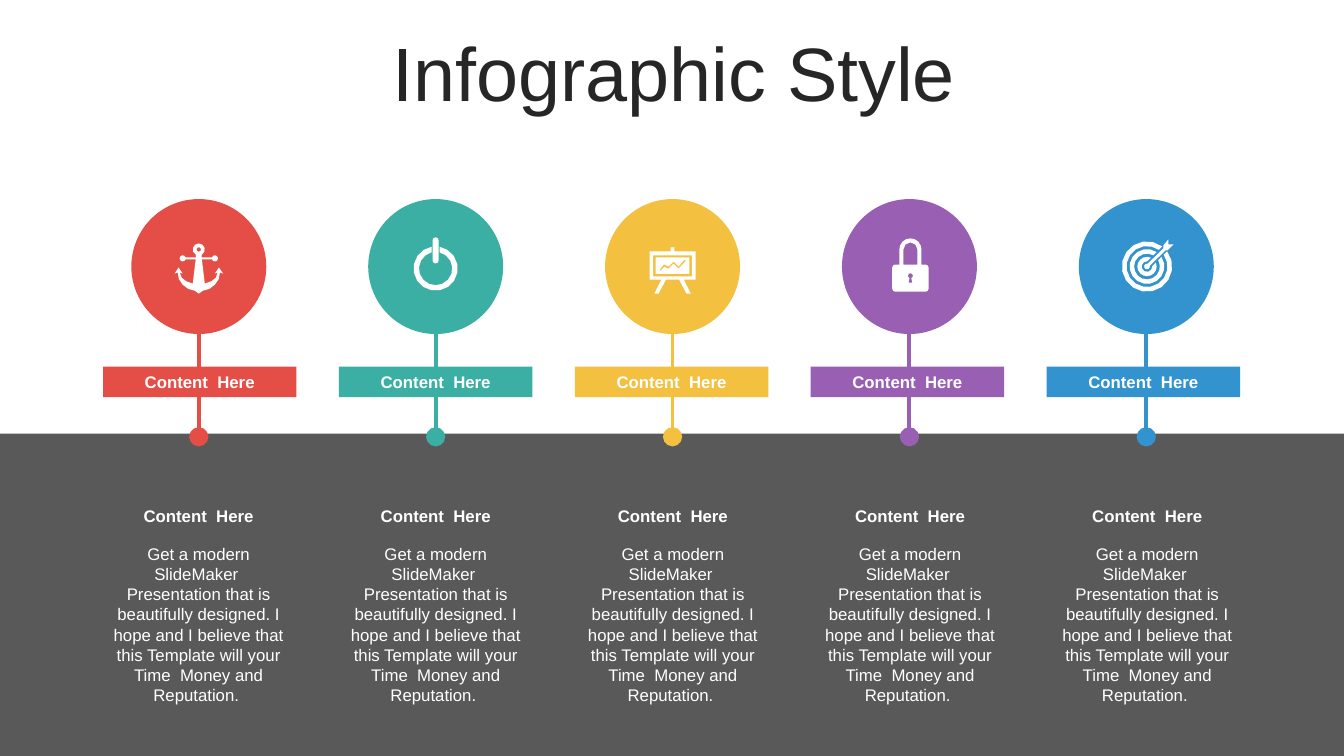
from math import asin, ceil, cos, degrees, radians, sin

from lxml.etree import SubElement
from pptx import Presentation
from pptx.dml.color import RGBColor
from pptx.enum.shapes import MSO_CONNECTOR, MSO_SHAPE
from pptx.enum.text import MSO_ANCHOR as Anchor, MSO_AUTO_SIZE as AutoSize, PP_ALIGN as Align
from pptx.oxml.ns import qn
from pptx.util import Pt

COLORS = {
    "red": "E54E46", "teal": "3CAFA4", "yellow": "F3C040", "purple": "995FB2",
    "blue": "3293CF", "gray": "595959", "white": "FFFFFF", "title": "262626",
}
COLORS = {name: RGBColor.from_string(value) for name, value in COLORS.items()}
LABEL = "Content  Here"
BODY = ("Get a modern SlideMaker  Presentation that is beautifully designed. "
        "I hope and I believe that this Template will your Time  Money and Reputation. ")


def arc(x, y, radius, start, end):
    """Points along an arc, clockwise from the right, in degrees."""
    steps = ceil(abs(end - start) / (24 if radius > 6 else 45))
    angles = [radians(start + (end - start) * i / steps) for i in range(steps + 1)]
    return [(x + radius * cos(a), y + radius * sin(a)) for a in angles]


def open_ring(x, y, outer, inner, direction, half_gap):
    """Outline of a ring with a parallel-sided gap facing the direction."""
    outer_gap = degrees(asin(half_gap / outer))
    inner_gap = degrees(asin(half_gap / inner))
    return (arc(x, y, outer, direction + outer_gap, direction + 360 - outer_gap)
            + arc(x, y, inner, direction + 360 - inner_gap, direction + inner_gap))


# Icon contours, in points from the centre of the circle
anchor_half = [
    *arc(0, -12.2, 4.3, -90, 60), (2, -6.5), (9.4, -6.5),
    *arc(11.5, -5.8, 2.2, 200, 520), (2.2, -5), (4.3, 12.2),
    (9, 10.5), (12.2, 8), (13.5, 4.3), (11.5, 5), (14.4, 0.7), (17.3, 5),
    (15.1, 4.3), (14.2, 9), (11.5, 13), (7.5, 16), (2.9, 17.3), (0, 19.4),
]
anchor = [anchor_half + [(-x, y) for x, y in reversed(anchor_half[1:-1])],
          arc(0, -12.2, 1.6, 0, 315)]

power = [open_ring(0, 1.4, 15.8, 11.9, -90, 2.9),
         arc(0, -18.7, 2.2, 180, 360) + arc(0, -4.4, 2.2, 0, 180)]

easel_half = [(1.4, -13.7), (1.4, -10.8), (16.4, -10.8), (16.4, 9.4),
              (8, 9.4), (13, 19.4), (10, 19.4), (4.7, 9.4)]
easel = [
    easel_half + [(-x, y) for x, y in reversed(easel_half)],
    [(-13.9, -8), (13.9, -8), (13.9, 7), (-13.9, 7)],
    [(-12, -6.5), (12, -6.5), (12, 5.2), (-12, 5.2)],
    [(8.6, -5), (4.3, 0), (0.7, -3.6), (-2.9, 0), (-6.1, -1.6), (-9.4, 2.5),
     (-8.7, 3), (-5.8, 0.2), (-2.9, 1.6), (0.7, -2), (4.3, 1.5), (9.4, -4)],
]

lock = [
    arc(0.7, -12.2, 7.9, 180, 360) + [(8.6, -1.4)]
    + arc(11.5, 0.8, 2.2, -90, 0) + arc(11.5, 15.8, 2.2, 0, 90)
    + arc(-10.1, 15.8, 2.2, 90, 180) + arc(-10.1, 0.8, 2.2, 180, 270) + [(-7.2, -1.4)],
    arc(0.7, -12.2, 5, 180, 360) + [(5.7, -1.4), (-4.3, -1.4)],
    arc(0.7, 6.6, 1.8, 110, 430) + [(2.1, 11.5), (-0.7, 11.5)],
]

target = [open_ring(0.5, 0, outer, inner, -45, 2.5)
          for outer, inner in [(18, 14.6), (12.4, 9.2), (6.9, 3.8)]]
target.append([(15.8, -19.4), (15.8, -15.8), (19.4, -15.8), (15.1, -11.5), (13.7, -11.5),
               *arc(0.5, 0, 2.1, -15, 285), (12.2, -13), (12.2, -15.1)])

columns = [("red", anchor), ("teal", power), ("yellow", easel),
           ("purple", lock), ("blue", target)]

presentation = Presentation()
presentation.slide_width, presentation.slide_height = Pt(960), Pt(540)
slide = presentation.slides.add_slide(presentation.slide_layouts[6])
shapes = slide.shapes

band = shapes.add_shape(MSO_SHAPE.RECTANGLE, 0, Pt(309.8), Pt(960), Pt(230.2))
band.shadow.inherit = False
band.fill.solid()
band.fill.fore_color.rgb = COLORS["gray"]
band.line.fill.background()

title = shapes.add_textbox(Pt(25.6), Pt(26.6), Pt(911.5), Pt(56.9))
texts = [(title, "Infographic Style", 54, False, "title", Anchor.MIDDLE)]

for index, (color, icon) in enumerate(columns):
    center_x, center_y = 142 + 169.2 * index, 190.4

    circle = shapes.add_shape(MSO_SHAPE.OVAL, Pt(center_x - 48.2), Pt(center_y - 48.2),
                              Pt(96.4), Pt(96.4))
    stem = shapes.add_connector(MSO_CONNECTOR.STRAIGHT, Pt(center_x), Pt(238.5),
                                Pt(center_x), Pt(312))
    stem.line.color.rgb = COLORS[color]
    stem.line.width = Pt(2.75)
    SubElement(stem.line._get_or_add_ln(), qn("a:tailEnd"), type="oval", w="lg", len="lg")
    SubElement(stem._element.spPr, qn("a:effectLst"))

    label = shapes.add_shape(MSO_SHAPE.RECTANGLE, Pt(73.6 + 168.5 * index), Pt(261.8),
                             Pt(138.2), Pt(21.8))

    builder = None
    for contour in icon:
        first, *rest = [(round(x * 100), round(y * 100)) for x, y in contour]
        if builder is None:
            builder = shapes.build_freeform(*first, scale=Pt(1) / 100)
        else:
            builder.move_to(*first)
        builder.add_line_segments(rest, close=True)
    symbol = builder.convert_to_shape(Pt(center_x), Pt(center_y))

    for shape, fill in [(circle, color), (label, color), (symbol, "white")]:
        shape.shadow.inherit = False
        shape.fill.solid()
        shape.fill.fore_color.rgb = COLORS[fill]
        shape.line.fill.background()

    text_left = 72.8 + 169.4 * index
    heading = shapes.add_textbox(Pt(text_left), Pt(357.5), Pt(138.2), Pt(21.8))
    body = shapes.add_textbox(Pt(text_left), Pt(384.8), Pt(138.2), Pt(123.8))
    texts += [(label, LABEL, 12, True, "white", Anchor.MIDDLE),
              (heading, LABEL, 12, True, "white", Anchor.MIDDLE),
              (body, BODY, 12, False, "white", Anchor.TOP)]

for shape, text, size, bold, color, anchoring in texts:
    frame = shape.text_frame
    frame.word_wrap = True
    frame.auto_size = AutoSize.NONE if shape is title else AutoSize.SHAPE_TO_FIT_TEXT
    frame.vertical_anchor = anchoring
    paragraph = frame.paragraphs[0]
    paragraph.alignment = Align.CENTER
    run = paragraph.add_run()
    run.text = text
    run.font.name = "Arial"
    run.font.size = Pt(size)
    run.font.bold = bold
    run.font.color.rgb = COLORS[color]
title.text_frame.paragraphs[0].line_spacing = 0.9

presentation.save("out.pptx")
